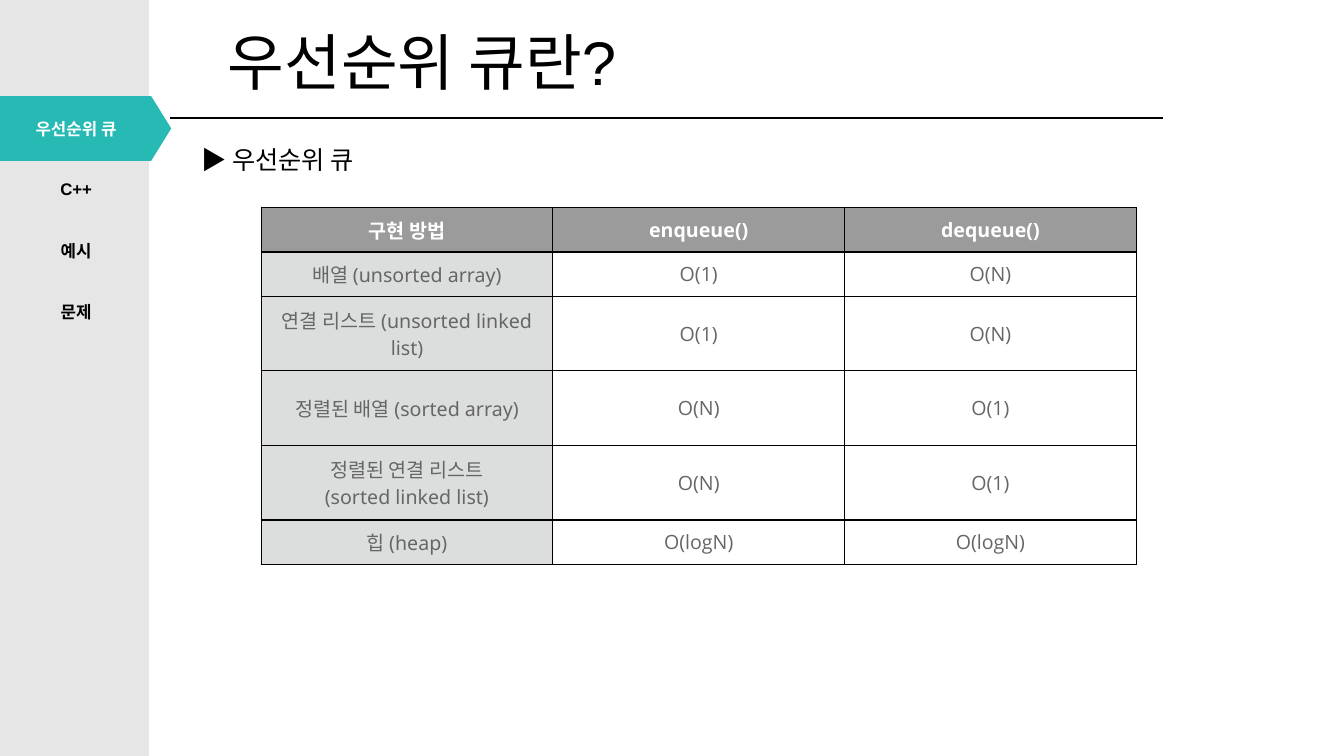
from lxml import etree
from pptx import Presentation
from pptx.dml.color import RGBColor
from pptx.enum.shapes import MSO_CONNECTOR, MSO_SHAPE
from pptx.enum.text import MSO_ANCHOR, PP_ALIGN
from pptx.oxml.ns import qn
from pptx.util import Inches, Pt

RECTANGLE, PENTAGON = MSO_SHAPE.RECTANGLE, MSO_SHAPE.PENTAGON
STRAIGHT = MSO_CONNECTOR.STRAIGHT
MIDDLE, TOP = MSO_ANCHOR.MIDDLE, MSO_ANCHOR.TOP
LEFT, CENTER = PP_ALIGN.LEFT, PP_ALIGN.CENTER

BLACK = RGBColor(0x00, 0x00, 0x00)
WHITE = RGBColor(0xFF, 0xFF, 0xFF)
TEAL = RGBColor(0x27, 0xBA, 0xB5)
SIDEBAR_GREY = RGBColor(0xE6, 0xE6, 0xE6)
HEADER_GREY = RGBColor(0x9B, 0x9B, 0x9B)
LABEL_GREY = RGBColor(0xDC, 0xDD, 0xDD)
TEXT_GREY = RGBColor(0x66, 0x66, 0x66)

KOREAN = "Noto Sans CJK KR"
MENU = [("우선순위 큐", 1.13), ("C++", 1.72), ("예시", 2.34), ("문제", 2.94)]
ROWS = [
    ("구현 방법", "enqueue()", "dequeue()"),
    ("배열 (unsorted array)", "O(1)", "O(N)"),
    ("연결 리스트 (unsorted linked list)", "O(1)", "O(N)"),
    ("정렬된 배열 (sorted array)", "O(N)", "O(1)"),
    ("정렬된 연결 리스트\n(sorted linked list)", "O(N)", "O(1)"),
    ("힙 (heap)", "O(logN)", "O(logN)"),
]
ROW_HEIGHTS = [0.44, 0.44, 0.74, 0.74, 0.74, 0.44]


def format_run(r, size, font, color, bold=False):
    """Set the font of a run, with the Korean face for Hangul."""
    r.font.size, r.font.name, r.font.bold = Pt(size), font, bold
    r.font.color.rgb = color
    ea = etree.SubElement(r.font._element, qn("a:ea"))
    ea.set("typeface", KOREAN)


def format_text(tf, size, font, color, bold=False, align=LEFT):
    """Format every paragraph and run of a text frame."""
    for p in tf.paragraphs:
        p.alignment = align
        for r in p.runs:
            format_run(r, size, font, color, bold)


def add_text(s, box, text, size, font, color, bold=False, align=LEFT, anchor=TOP):
    """Add a wrapped text box and return its text frame."""
    tf = s.shapes.add_textbox(*map(Inches, box)).text_frame
    tf.word_wrap = True
    tf.vertical_anchor = anchor
    tf.text = text
    format_text(tf, size, font, color, bold, align)
    return tf


def add_block(s, shape_type, box, color):
    """Add a shape filled and outlined in one colour."""
    sp = s.shapes.add_shape(shape_type, *map(Inches, box))
    sp.shadow.inherit = False
    sp.fill.solid()
    sp.fill.fore_color.rgb = color
    sp.line.color.rgb = color
    sp.line.width = Pt(1)
    return sp


def add_sidebar(s, box):
    """Draw the side menu with its current entry highlighted."""
    x, y, w, h = box
    add_block(s, RECTANGLE, box, SIDEBAR_GREY)
    marker = add_block(s, PENTAGON, (x, y + 0.96, w + 0.22, 0.63), TEAL)
    marker.adjustments[0] = 0.31
    for i, (label, top) in enumerate(MENU):
        color = WHITE if i == 0 else BLACK
        add_text(s, (x, y + top, w + 0.04, 0.3), label, 12, "Arial", color, True, CENTER)


def add_heading(s, box):
    """Draw the title, the rule below it and the subheading."""
    x, y, w, h = box
    tf = add_text(s, (x + 0.47, y + 0.16, 4.52, 0.98), "우선순위 큐", 44, KOREAN, BLACK,
                  anchor=MIDDLE)
    p = tf.paragraphs[0]
    p.line_spacing = 0.9
    r = p.add_run()
    r.text = "란?"
    format_run(r, 44, "Arial", BLACK)
    rule_y = Inches(y + 1.17)
    rule = s.shapes.add_connector(STRAIGHT, Inches(x), rule_y, Inches(x + w), rule_y)
    rule.line.color.rgb = BLACK
    rule.line.width = Pt(1)
    etree.SubElement(rule._element.spPr, qn("a:effectLst"))
    add_text(s, (x + 0.21, y + h - 0.4, 5.69, 0.4), "▶\u00a0우선순위 큐", 18, KOREAN, BLACK)


def set_borders(cell):
    """Outline a cell with thin black lines."""
    tc_pr = cell._tc.get_or_add_tcPr()
    for i, side in enumerate(("lnL", "lnR", "lnT", "lnB")):
        ln = etree.Element(qn("a:" + side), w=str(Pt(1)))
        fill = etree.SubElement(ln, qn("a:solidFill"))
        etree.SubElement(fill, qn("a:srgbClr"), val=str(BLACK))
        tc_pr.insert(i, ln)


def cell_style(row, col):
    """Return fill, font, text colour and weight for a table position."""
    if row == 0:
        return HEADER_GREY, "Noto Sans", WHITE, True
    if col == 0:
        return LABEL_GREY, "Noto Sans", TEXT_GREY, False
    return WHITE, "Open Sans", TEXT_GREY, False


def add_complexity_table(s, box):
    """Draw the table of operation costs per implementation."""
    table = s.shapes.add_table(len(ROWS), len(ROWS[0]), *map(Inches, box)).table
    for column in table.columns:
        column.width = Inches(box[2] / len(ROWS[0]))
    for i, values in enumerate(ROWS):
        table.rows[i].height = Inches(ROW_HEIGHTS[i])
        for j, value in enumerate(values):
            cell = table.cell(i, j)
            fill, font, color, bold = cell_style(i, j)
            cell.margin_left = cell.margin_right = Inches(0.06)
            cell.margin_top = cell.margin_bottom = Inches(0.06)
            cell.vertical_anchor = MIDDLE
            cell.fill.solid()
            cell.fill.fore_color.rgb = fill
            cell.text_frame.text = value
            format_text(cell.text_frame, 14, font, color, bold, CENTER)
            set_borders(cell)


prs = Presentation()
prs.slide_width, prs.slide_height = Inches(13.33), Inches(7.5)
s = prs.slides.add_slide(prs.slide_layouts[6])
add_sidebar(s, (0, 0, 1.47, 7.5))
add_heading(s, (1.69, 0, 9.84, 1.78))
add_complexity_table(s, (2.59, 2.06, 8.68, sum(ROW_HEIGHTS)))
prs.save("out.pptx")
